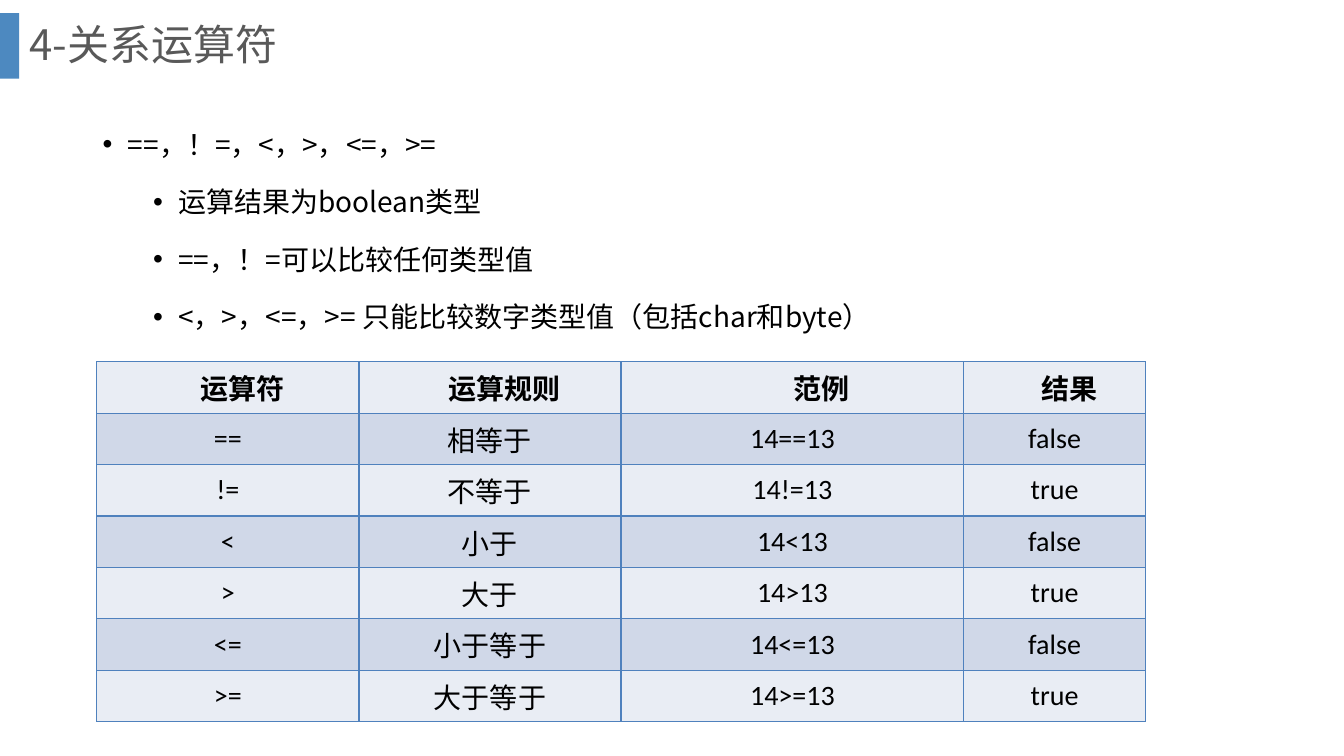
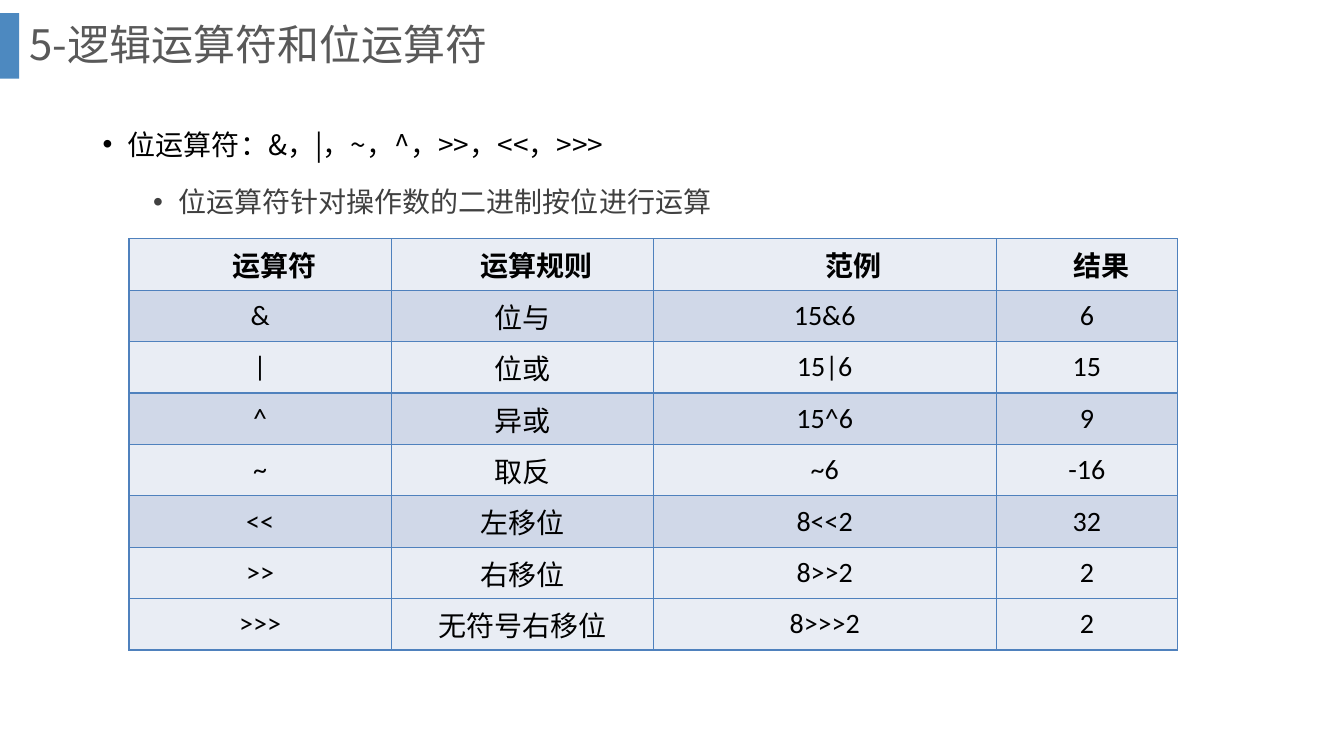
from lxml import etree
from pptx import Presentation
from pptx.dml.color import RGBColor
from pptx.enum.shapes import MSO_SHAPE
from pptx.enum.text import MSO_ANCHOR, PP_ALIGN
from pptx.oxml.ns import qn
from pptx.util import Inches, Pt

RECTANGLE = MSO_SHAPE.RECTANGLE
LEFT, CENTER = PP_ALIGN.LEFT, PP_ALIGN.CENTER
TOP, MIDDLE = MSO_ANCHOR.TOP, MSO_ANCHOR.MIDDLE

BAND_BLUE = RGBColor(0x2E, 0x75, 0xB6)
BORDER_BLUE = RGBColor(0x4F, 0x81, 0xBD)
LIGHT_ROW = RGBColor(0xE9, 0xED, 0xF4)
DARK_ROW = RGBColor(0xD0, 0xD8, 0xE8)
TITLE_GRAY = RGBColor(0x59, 0x59, 0x59)
DARK_GRAY = RGBColor(0x40, 0x40, 0x40)
BLACK = RGBColor(0, 0, 0)

CJK_FONT = "Noto Sans CJK SC"
TABLE_FONT = "Calibri"
COLUMN_WIDTHS = [2.6, 2.6, 3.4, 1.8]
ROW_HEIGHT = 0.51
HEADER = ["运算符", "运算规则", "范例", "结果"]
HEADER_INDENTS = [0.29, 0.29, 0.57, 0.29]

# Bullets are (level, text, colour); tables have a left and top in inches.
SLIDES = [
    {
        "title": "4-关系运算符",
        "bullets": [
            (0, "==，！=，<，>，<=，>=", BLACK),
            (1, "运算结果为boolean类型", BLACK),
            (1, "==，！=可以比较任何类型值", BLACK),
            (1, "<，>，<=，>= 只能比较数字类型值（包括char和byte）", BLACK),
        ],
        "table_at": (0.96, 3.59),
        "rows": [
            ["==", "相等于", "14==13", "false"],
            ["!=", "不等于", "14!=13", "true"],
            ["<", "小于", "14<13", "false"],
            [">", "大于", "14>13", "true"],
            ["<=", "小于等于", "14<=13", "false"],
            [">=", "大于等于", "14>=13", "true"],
        ],
    },
    {
        "title": "5-逻辑运算符和位运算符",
        "bullets": [
            (0, "位运算符：&，|，~，^，>>，<<，>>>", BLACK),
            (1, "位运算符针对操作数的二进制按位进行运算", DARK_GRAY),
        ],
        "table_at": (1.28, 2.37),
        "rows": [
            ["&", "位与", "15&6", "6"],
            ["|", "位或", "15|6", "15"],
            ["^", "异或", "15^6", "9"],
            ["~", "取反", "~6", "-16"],
            ["<<", "左移位", "8<<2", "32"],
            [">>", "右移位", "8>>2", "2"],
            [">>>", "无符号右移位", "8>>>2", "2"],
        ],
    },
]


def format_runs(para, size, color, font_name, bold=False):
    for span in para.runs:
        font = span.font
        font.size, font.bold, font.name = Pt(size), bold, font_name
        font.color.rgb = color
        latin = span._r.rPr.find(qn("a:latin"))
        east_asian = etree.Element(qn("a:ea"), typeface=CJK_FONT)
        latin.addnext(east_asian)


def add_borders(cell):
    """Draw 1 pt lines on all four sides, placed ahead of the cell's fill."""
    properties = cell._tc.get_or_add_tcPr()
    for position, side in enumerate(("a:lnL", "a:lnR", "a:lnT", "a:lnB")):
        line = etree.Element(qn(side), w=str(Pt(1)))
        fill = etree.SubElement(line, qn("a:solidFill"))
        etree.SubElement(fill, qn("a:srgbClr"), val=str(BORDER_BLUE))
        properties.insert(position, line)


deck = Presentation()
deck.slide_width, deck.slide_height = Inches(13.33), Inches(7.5)
title_only = deck.slide_layouts[5]

for content in SLIDES:
    page = deck.slides.add_slide(title_only)

    band = page.shapes.add_shape(
        RECTANGLE, 0, Inches(0.13), Inches(0.19), Inches(0.65))
    band.shadow.inherit = False
    band.fill.solid()
    band.fill.fore_color.rgb = BAND_BLUE
    band.line.fill.background()
    band_color = band._element.spPr.find(qn("a:solidFill"))[0]
    etree.SubElement(band_color, qn("a:alpha"), val="85000")

    title = page.shapes.title
    title.left, title.top = Inches(0.19), 0
    title.width, title.height = Inches(12.66), Inches(0.93)
    title.text_frame.text = content["title"]
    title.text_frame.vertical_anchor = MIDDLE
    heading = title.text_frame.paragraphs[0]
    heading.alignment = LEFT
    heading.line_spacing = 0.9
    format_runs(heading, 30, TITLE_GRAY, CJK_FONT)

    box = page.shapes.add_textbox(
        Inches(0.92), Inches(1.05), Inches(11.5), Inches(6.16))
    frame = box.text_frame
    frame.word_wrap = True
    frame.vertical_anchor = TOP
    for index, (level, text, color) in enumerate(content["bullets"]):
        para = frame.add_paragraph() if index else frame.paragraphs[0]
        para.text = text
        para.level = level
        properties = para._p.get_or_add_pPr()
        properties.set("marL", str(Inches(0.25 + 0.5 * level)))
        properties.set("indent", str(Inches(-0.25)))
        etree.SubElement(properties, qn("a:buFont"), typeface="Arial")
        etree.SubElement(properties, qn("a:buChar"), char="•")
        para.line_spacing = 1.5
        if index:
            para.space_before = Pt(5)
        format_runs(para, 20, color, CJK_FONT)

    rows = [HEADER] + content["rows"]
    left, top = content["table_at"]
    table = page.shapes.add_table(
        len(rows), len(HEADER), Inches(left), Inches(top),
        Inches(sum(COLUMN_WIDTHS)), Inches(ROW_HEIGHT * len(rows))).table
    for column, width in zip(table.columns, COLUMN_WIDTHS):
        column.width = Inches(width)
    for row_index, values in enumerate(rows):
        table.rows[row_index].height = Inches(ROW_HEIGHT)
        is_header = row_index == 0
        is_dark = row_index % 2 == 1 and row_index < len(rows) - 1
        for column_index, value in enumerate(values):
            cell = table.cell(row_index, column_index)
            cell.text_frame.text = value
            cell.vertical_anchor = MIDDLE
            cell.fill.solid()
            cell.fill.fore_color.rgb = DARK_ROW if is_dark else LIGHT_ROW
            add_borders(cell)
            para = cell.text_frame.paragraphs[0]
            para.alignment = CENTER
            if is_header:
                indent = Inches(HEADER_INDENTS[column_index])
                para._p.get_or_add_pPr().set("indent", str(indent))
            format_runs(para, 20, BLACK, TABLE_FONT, bold=is_header)

deck.save("out.pptx")
